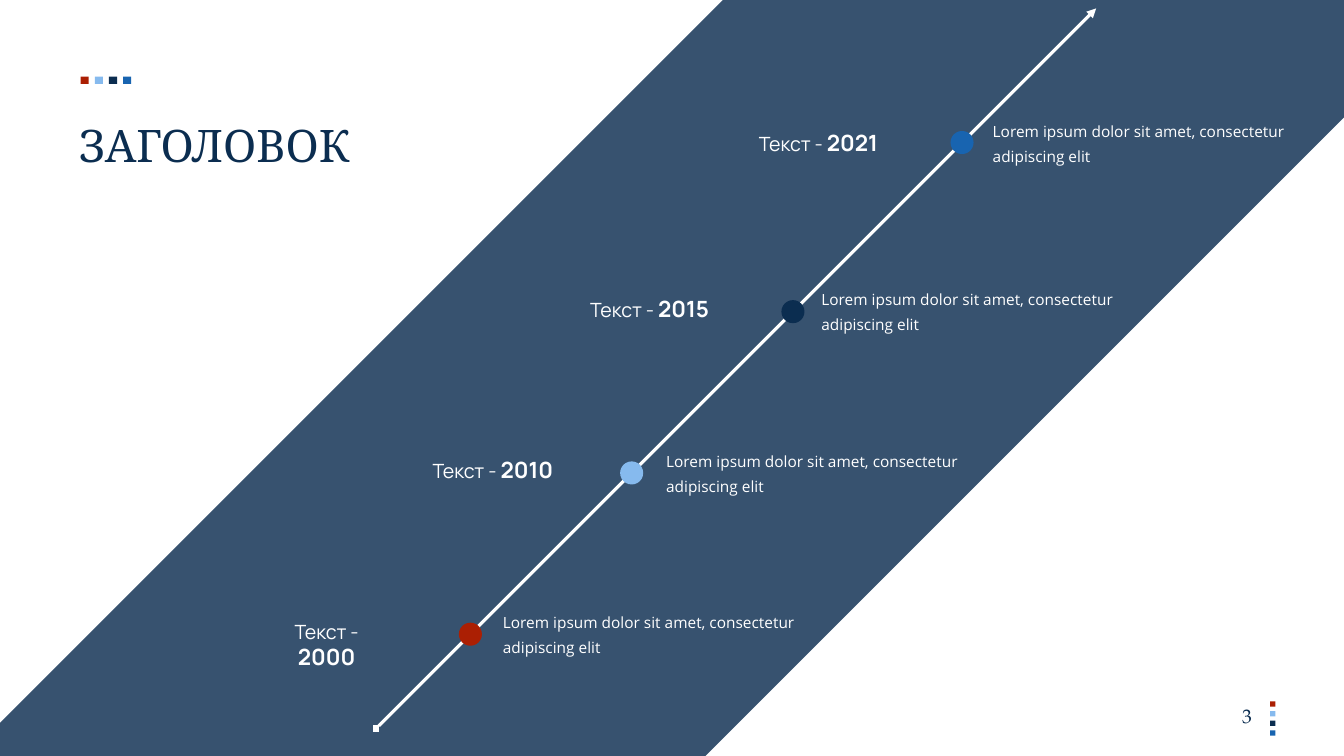
from dataclasses import dataclass

from lxml import etree
from pptx import Presentation
from pptx.dml.color import RGBColor
from pptx.enum import shapes, text
from pptx.oxml.ns import qn
from pptx.util import Pt

COLORS = {
    "red": "AB1F03",
    "sky": "86BAEE",
    "navy": "0B2D50",
    "blue": "1864B0",
    "white": "FFFFFF",
}
ACCENTS = ["red", "sky", "navy", "blue"]
AXIS_SUM = 789
DOT_SIZE = 16.5
DESCRIPTION = "Lorem ipsum dolor sit amet, consectetur adipiscing elit"


@dataclass
class Event:
    year: str
    color: str
    dot_x: float
    label_box: tuple
    description_at: tuple


EVENTS = [
    Event("2000", "red", 336, (191.3, 439.2, 84, 26.6), (352.1, 429.8)),
    Event("2010", "sky", 451.2, (300.2, 322.6, 103.7, 26.6), (468.7, 314.6)),
    Event("2015", "navy", 566.4, (396.7, 207.4, 134.6, 26.6), (579.6, 199.4)),
    Event("2021", "blue", 687.2, (532.8, 88.6, 103.7, 26.6), (702, 79.2)),
]


def color(name):
    return RGBColor.from_string(COLORS[name])


def points(*lengths):
    return [Pt(length) for length in lengths]


def set_font(font, name, size, color_name, bold=False):
    font.name = name
    font.size = Pt(size)
    font.bold = bold
    font.color.rgb = color(color_name)


def add_filled(slide, kind, box, color_name, rotation=0):
    shape = slide.shapes.add_shape(kind, *points(*box))
    shape.shadow.inherit = False
    shape.fill.solid()
    shape.fill.fore_color.rgb = color(color_name)
    shape.line.fill.background()
    shape.rotation = rotation
    return shape


def add_text(slide, box):
    frame = slide.shapes.add_textbox(*points(*box)).text_frame
    frame.word_wrap = True
    return frame


def add_squares(slide, box, step_x, step_y):
    left, top, width, height = box
    for index, name in enumerate(ACCENTS):
        square = (left + index * step_x, top + index * step_y, width, height)
        add_filled(slide, shapes.MSO_SHAPE.RECTANGLE, square, name)


def add_title(slide, box):
    title = slide.shapes.title
    title.left, title.top, title.width, title.height = points(*box)
    frame = title.text_frame
    frame.text = "ЗАГОЛОВОК"
    frame.auto_size = text.MSO_AUTO_SIZE.NONE
    frame.vertical_anchor = text.MSO_ANCHOR.MIDDLE
    paragraph = frame.paragraphs[0]
    paragraph.alignment = text.PP_ALIGN.LEFT
    paragraph.line_spacing = 0.9
    set_font(paragraph.font, "Cambria", 32, "navy")


def add_page_number(slide, box):
    frame = add_text(slide, box)
    frame.text = "3"
    frame.vertical_anchor = text.MSO_ANCHOR.MIDDLE
    paragraph = frame.paragraphs[0]
    paragraph.alignment = text.PP_ALIGN.RIGHT
    set_font(paragraph.font, "TeX Gyre Pagella", 14, "navy")


def add_band(slide, box):
    band = add_filled(slide, shapes.MSO_SHAPE.RECTANGLE, box, "navy", 315)
    fill = band.fill._xPr.find(qn("a:solidFill"))
    etree.SubElement(fill[0], qn("a:alpha"), val="82000")


def add_axis(slide, start_x, end_x):
    axis = slide.shapes.add_connector(
        shapes.MSO_CONNECTOR.STRAIGHT,
        *points(start_x, AXIS_SUM - start_x, end_x, AXIS_SUM - end_x),
    )
    axis.line.color.rgb = color("white")
    axis.line.width = Pt(2.25)
    line = axis.line._get_or_add_ln()
    etree.SubElement(line, qn("a:headEnd"), type="diamond")
    etree.SubElement(line, qn("a:tailEnd"), type="triangle")
    etree.SubElement(axis._element.spPr, qn("a:effectLst"))


def add_event(slide, event):
    label = add_text(slide, event.label_box).paragraphs[0]
    label.alignment = text.PP_ALIGN.CENTER
    for content, size, bold in (("Текст - ", 14, False), (event.year, 16, True)):
        run = label.add_run()
        run.text = content
        set_font(run.font, "Manrope", size, "white", bold)

    description = add_text(slide, (*event.description_at, 246.2, 64.8)).paragraphs[0]
    description.text = DESCRIPTION
    description.line_spacing = 1.35
    set_font(description.font, "Open Sans", 11, "white")

    left = event.dot_x - DOT_SIZE / 2
    top = AXIS_SUM - event.dot_x - DOT_SIZE / 2
    box = (left, top, DOT_SIZE, DOT_SIZE)
    add_filled(slide, shapes.MSO_SHAPE.OVAL, box, event.color, 315)


def add_timeline(slide):
    add_band(slide, (-43.9, 97.2, 1080.7, 373))
    add_axis(slide, 268.5, 783)
    for event in EVENTS:
        add_event(slide, event)


def main():
    presentation = Presentation()
    presentation.slide_width, presentation.slide_height = points(960, 540)
    slide = presentation.slides.add_slide(presentation.slide_layouts[5])
    add_squares(slide, (57.6, 54.7, 5.8, 5.2), 10.1, 0)
    add_squares(slide, (907.2, 501, 3.8, 3.8), 0, 6.9)
    add_page_number(slide, (861.8, 494.6, 39.6, 33.8))
    add_title(slide, (49, 87.8, 292.3, 36))
    add_timeline(slide)
    presentation.save("out.pptx")


if __name__ == "__main__":
    main()
